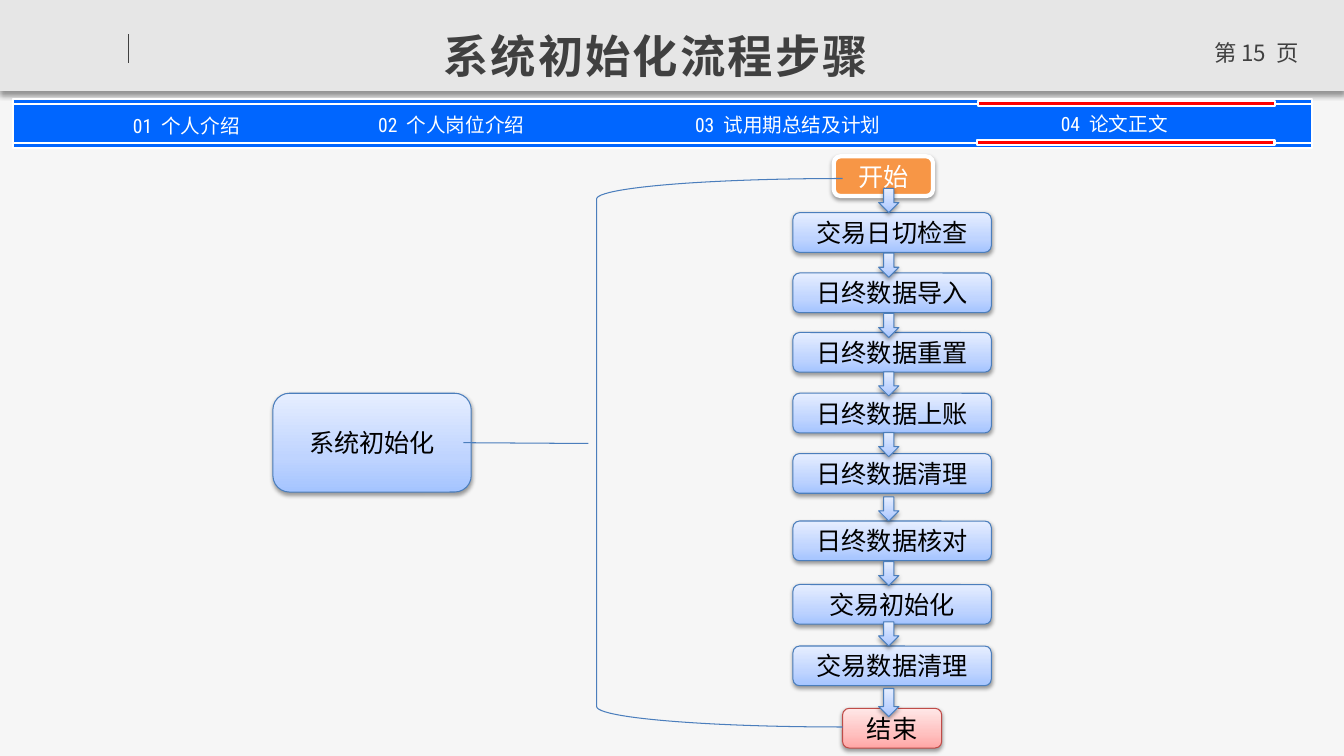
from lxml.etree import SubElement
from pptx import Presentation
from pptx.dml.color import RGBColor
from pptx.enum.shapes import MSO_CONNECTOR, MSO_SHAPE
from pptx.enum.text import MSO_ANCHOR, MSO_AUTO_SIZE, PP_ALIGN
from pptx.oxml.ns import qn
from pptx.util import Cm, Pt

WIDE, HIGH = 33.88, 19.05
DARK, BLUE, WHITE, EDGE = "404040", "0066FF", "FFFFFF", "4B7EBC"
SKY = [(0, "A4C4FF"), (35, "BFD4FF"), (100, "E6EEFF")]
ROSE = [(0, "FFA6A5"), (35, "FFC0BF"), (100, "FFE7E7")]
SOFT = (38, 3.1, 1.6)
CJK = "Noto Sans CJK SC"

TABS = [("01  个人介绍", 1.55, 2.87), ("02  个人岗位介绍", 8.23, 2.84),
        ("03  试用期总结及计划", 16.71, 2.84), ("04  论文正文", 24.94, 2.82)]
# Step label, its top, and the top of the arrow leading into it
STEPS = [("交易日切检查", 5.36, 4.75), ("日终数据导入", 6.88, 6.38),
         ("日终数据重置", 8.38, 7.9), ("日终数据上账", 9.91, 9.37),
         ("日终数据清理", 11.43, 10.9), ("日终数据核对", 13.13, 12.52),
         ("交易初始化", 14.73, 14.15), ("交易数据清理", 16.28, 15.67)]


def color(code):
    return RGBColor.from_string(code)


def paint(fill, paper):
    """Fill with a hex colour, or with a vertical gradient of (percent, hex) stops."""
    if isinstance(paper, str):
        fill.solid()
        fill.fore_color.rgb = color(paper)
        return
    fill.gradient()
    fill.gradient_angle = 90


def blend(shape, stops):
    items = shape._element.spPr.find(qn("a:gradFill")).find(qn("a:gsLst"))
    items.clear()
    for spot, code in stops:
        stop = SubElement(items, qn("a:gs"), pos=str(spot * 1000))
        SubElement(stop, qn("a:srgbClr"), val=code)


def shade(shape, alpha, blur, drop):
    """Cast a black shadow straight down; blur and drop are in points."""
    glow = shape._element.spPr.find(qn("a:effectLst"))
    cast = SubElement(glow, qn("a:outerShdw"), blurRad=str(Pt(blur)),
                      dist=str(Pt(drop)), dir="5400000", rotWithShape="0")
    tone = SubElement(cast, qn("a:srgbClr"), val="000000")
    SubElement(tone, qn("a:alpha"), val=str(alpha * 1000))


def draw(slide, kind, box, paper=None, edge=None, width=0.75, shadow=None):
    shape = slide.shapes.add_shape(kind, *map(Cm, box))
    shape.shadow.inherit = False
    if paper:
        paint(shape.fill, paper)
        if not isinstance(paper, str):
            blend(shape, paper)
    else:
        shape.fill.background()
    if edge:
        shape.line.color.rgb = color(edge)
        shape.line.width = Pt(width)
    else:
        shape.line.fill.background()
    if shadow:
        shade(shape, *shadow)
    return shape


def rule(slide, start, end, code):
    line = slide.shapes.add_connector(MSO_CONNECTOR.STRAIGHT, *map(Cm, start + end))
    line.line.color.rgb = color(code)
    line.line.width = Pt(0.75)
    SubElement(line._element.spPr, qn("a:effectLst"))


def write(shape, text, size, code, face, anchor=MSO_ANCHOR.MIDDLE, **more):
    """Put one centred line of text in the shape; more holds text frame settings."""
    frame = shape.text_frame
    frame.text = text
    for name, value in {"word_wrap": True, "vertical_anchor": anchor, **more}.items():
        setattr(frame, name, value)
    para = frame.paragraphs[0]
    para.alignment = PP_ALIGN.CENTER
    font = para.runs[0].font
    for name, value in {"name": face, "size": Pt(size)}.items():
        setattr(font, name, value)
    font.color.rgb = color(code)
    SubElement(font._element, qn("a:ea"), typeface=CJK)
    return font


def header(slide, x, y, w, h):
    draw(slide, MSO_SHAPE.RECTANGLE, (x, y, w, h), "E6E6E6", shadow=(40, 4, 3))
    rule(slide, (x + 3.23, y + 0.86), (x + 3.23, y + 1.6), DARK)
    page = slide.shapes.add_textbox(*map(Cm, (x + 30.15, y + 0.86, 3.05, 1.02)))
    write(page, "第 15  页", 16, DARK, CJK, MSO_ANCHOR.TOP)

    title = slide.shapes.title
    spot = dict(left=x + 1.78, top=y + 0.58, width=29.51, height=1.8)
    for name, value in spot.items():
        setattr(title, name, Cm(value))
    font = write(title, "系统初始化流程步骤", 32.4, DARK, "Arial", MSO_ANCHOR.TOP,
                 auto_size=MSO_AUTO_SIZE.NONE)
    font.bold = True
    font._element.set("spc", "150")
    title._element.getparent().append(title._element)  # bring in front of the band


def tabs(slide, x, y, w, h):
    for top, high in ((0.13, 1.09), (h - 0.13, 0.13), (0, 0.13)):
        draw(slide, MSO_SHAPE.RECTANGLE, (x, y + top, w, high), BLUE, WHITE, 1.5)
    inset = {f"margin_{side}": 0 for side in ("left", "top", "right", "bottom")}
    for text, left, top in TABS:
        label = slide.shapes.add_textbox(*map(Cm, (left, top, 6.3, 0.61)))
        write(label, text, 14, WHITE, "Roboto Condensed",
              auto_size=MSO_AUTO_SIZE.SHAPE_TO_FIT_TEXT, **inset)
    for left, top in ((24.33, 0.05), (24.31, 1.04)):
        draw(slide, MSO_SHAPE.RECTANGLE, (x + left, y + top, 7.49, 0.13),
             "FF0000", WHITE, 1.5)


def node(slide, text, box, paper=SKY, edge=EDGE, width=0.75, ink="000000"):
    shape = draw(slide, MSO_SHAPE.ROUNDED_RECTANGLE, box, paper, edge, width, SOFT)
    write(shape, text, 18, ink, "Calibri")


def flow(slide, x, y, w, h):
    """Stack the steps from start to end, with arrows over the boxes."""
    tall, half = 1.0, w / 2
    for text, top, _ in STEPS:
        node(slide, text, (x, top, w, tall))
    node(slide, "开始", (x + 1.03, y, half, tall), "F79646", WHITE, 3, WHITE)
    node(slide, "结束", (x + 1.25, y + h - tall, half, tall), ROSE, "BF4C48")
    arrows = [(top, 0.61) for _, _, top in STEPS] + [(17.35, 0.71)]
    for top, high in arrows:
        draw(slide, MSO_SHAPE.DOWN_ARROW, (x + 2.16, top, 0.51, high),
             SKY, EDGE, shadow=SOFT)


def root(slide, x, y, w, h):
    node(slide, "系统初始化", (x, y, w, h))
    draw(slide, MSO_SHAPE.LEFT_BRACKET, (x + 8.16, 4.5, 6.2, 13.82), edge=EDGE)
    mid = y + h / 2
    rule(slide, (x + w - 0.2, mid), (x + w + 2.95, mid + 0.02), EDGE)


def main():
    deck = Presentation()
    deck.slide_width, deck.slide_height = Cm(WIDE), Cm(HIGH)
    slide = deck.slides.add_slide(deck.slide_layouts[5])
    paint(slide.background.fill, "F6F6F6")
    header(slide, 0, 0, WIDE, 2.29)
    tabs(slide, 0.33, 2.49, 32.74, 1.25)
    flow(slide, 19.99, 3.94, 5, 14.91)
    root(slide, 6.88, 9.91, 5, 2.49)
    deck.save("out.pptx")


if __name__ == "__main__":
    main()
